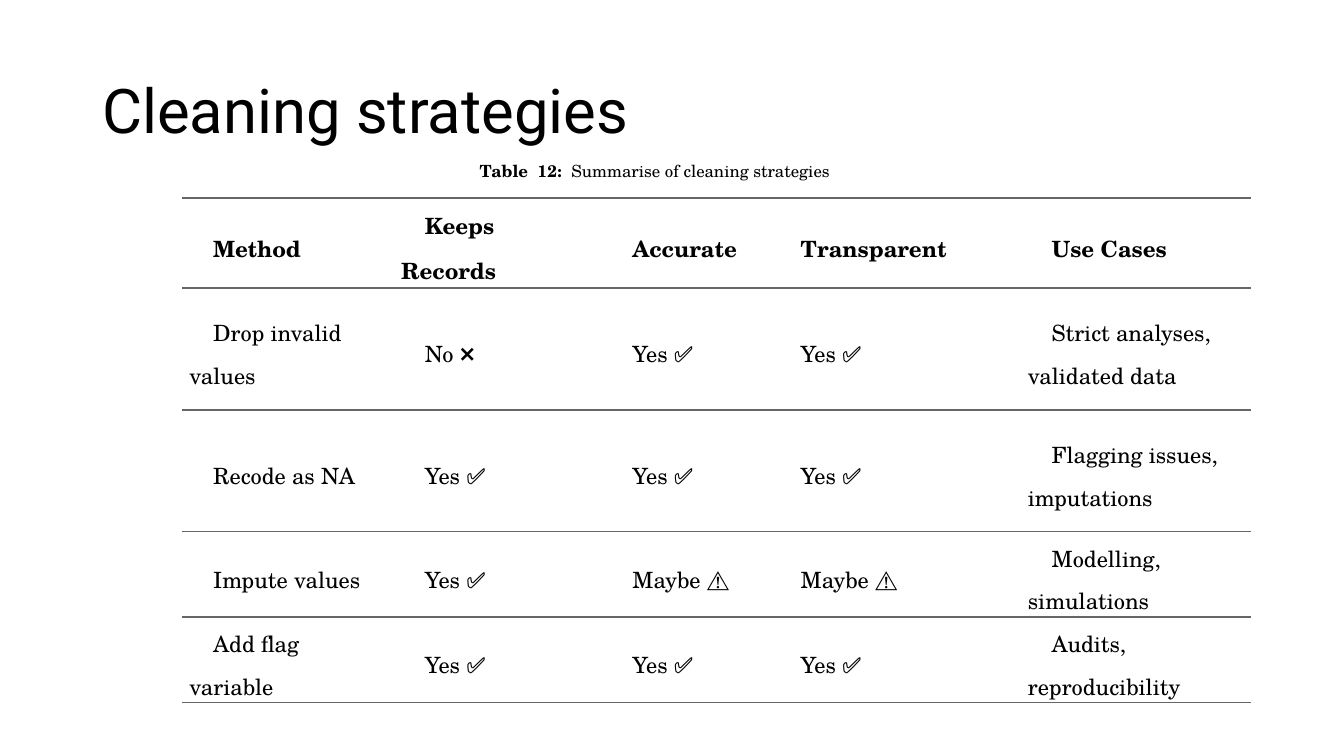
from lxml import etree
from pptx import Presentation
from pptx import util as u
from pptx.dml.color import RGBColor
from pptx.enum import text
from pptx.oxml import ns

SERIF, SANS, SYMBOL = "TeX Gyre Schola", "Roboto", "Cabin"
BLACK, WHITE, RULE = "000000", "FFFFFF", "666666"
PLAIN_TABLE = "{2D5ABB26-0587-4C30-8999-92F81FD0307C}"

YES, NO, MAYBE = "Yes ✅", "No ❌", "Maybe ⚠️"
STRATEGIES = [
    ["Method", "Keeps Records", "Accurate", "Transparent", "Use Cases"],
    ["Drop invalid values", NO, YES, YES, "Strict analyses, validated data"],
    ["Recode as NA", YES, YES, YES, "Flagging issues, imputations"],
    ["Impute values", YES, MAYBE, MAYBE, "Modelling, simulations"],
    ["Add flag variable", YES, YES, YES, "Audits, reproducibility"],
]
COLUMN_WIDTHS = [151.2, 148.3, 120.2, 179.3, 164.5]
ROW_HEIGHTS = [64.3, 87, 87, 61, 61]
RULE_WIDTHS = [1.5, 1.5, 1, 1, 1.5, 1.5]  # above the first row, then below each


def color(hex_string):
    return RGBColor.from_string(hex_string)


def style_font(font, name, size, bold=False):
    font.name, font.size, font.bold = name, u.Pt(size), bold
    font.color.rgb = color(BLACK)


def indent(paragraph, left, first_line):
    properties = paragraph._p.get_or_add_pPr()
    properties.set("marL", str(u.Pt(left)))
    properties.set("indent", str(u.Pt(first_line)))


def add_text_box(slide, box, anchor):
    frame = slide.shapes.add_textbox(*map(u.Pt, box)).text_frame
    frame.word_wrap = True
    frame.vertical_anchor = anchor
    return frame


def add_title(slide, box):
    paragraph = add_text_box(slide, box, text.MSO_ANCHOR.MIDDLE).paragraphs[0]
    paragraph.text = "Cleaning strategies"
    paragraph.line_spacing = 0.9
    style_font(paragraph.font, SANS, 44)


def add_caption(slide, box):
    frame = add_text_box(slide, box, text.MSO_ANCHOR.TOP)
    frame.margin_left = frame.margin_right = u.Pt(3)
    paragraph = frame.paragraphs[0]
    indent(paragraph, 0, 17)
    style_font(paragraph.font, SERIF, 12)
    for words, bold in (("Table  12:  ", True), ("Summarise of cleaning strategies", False)):
        run = paragraph.add_run()
        run.text, run.font.bold = words, bold


def add_border(cell, side, width):
    properties = cell._tc.get_or_add_tcPr()
    line = etree.SubElement(properties, ns.qn(f"a:{side}"), w=str(u.Pt(width)))
    fill = etree.SubElement(line, ns.qn("a:solidFill"))
    etree.SubElement(fill, ns.qn("a:srgbClr"), val=RULE)


def fill_cell(cell, words, bold, top, bottom):
    cell.margin_left = cell.margin_top = cell.margin_bottom = 0
    cell.margin_right = u.Pt(6)
    cell.vertical_anchor = text.MSO_ANCHOR.MIDDLE
    add_border(cell, "lnT", top)
    add_border(cell, "lnB", bottom)
    cell.fill.solid()
    cell.fill.fore_color.rgb = color(WHITE)

    paragraph = cell.text_frame.paragraphs[0]
    indent(paragraph, 5, 17)
    paragraph.line_spacing = 1.3
    paragraph.space_before = paragraph.space_after = u.Pt(5)
    style_font(paragraph.font, SERIF, 16, bold)
    # The mark after an answer has its own font
    if words in (YES, NO, MAYBE):
        answer, mark = words.split(" ")
        paragraph.add_run().text = answer + " "
        run = paragraph.add_run()
        run.text, run.font.name = mark, SYMBOL
    else:
        paragraph.add_run().text = words


def add_strategy_table(slide, left, top):
    shape = slide.shapes.add_table(
        len(STRATEGIES), len(COLUMN_WIDTHS), u.Pt(left), u.Pt(top),
        u.Pt(sum(COLUMN_WIDTHS)), u.Pt(sum(ROW_HEIGHTS)))
    table = shape.table
    table.first_row = table.horz_banding = False
    table._tbl.tblPr.find(ns.qn("a:tableStyleId")).text = PLAIN_TABLE
    for column, width in zip(table.columns, COLUMN_WIDTHS):
        column.width = u.Pt(width)
    for i, (row, height) in enumerate(zip(table.rows, ROW_HEIGHTS)):
        row.height = u.Pt(height)
        for cell, words in zip(row.cells, STRATEGIES[i]):
            fill_cell(cell, words, i == 0, RULE_WIDTHS[i], RULE_WIDTHS[i + 1])


def main():
    presentation = Presentation()
    presentation.slide_width, presentation.slide_height = u.Pt(960), u.Pt(540)
    slide = presentation.slides.add_slide(presentation.slide_layouts[6])
    add_title(slide, (66, 28.75, 828, 104.4))
    add_strategy_table(slide, 130.3, 141.6)
    add_caption(slide, (322.6, 111.6, 431.3, 44))
    presentation.save("out.pptx")


if __name__ == "__main__":
    main()
